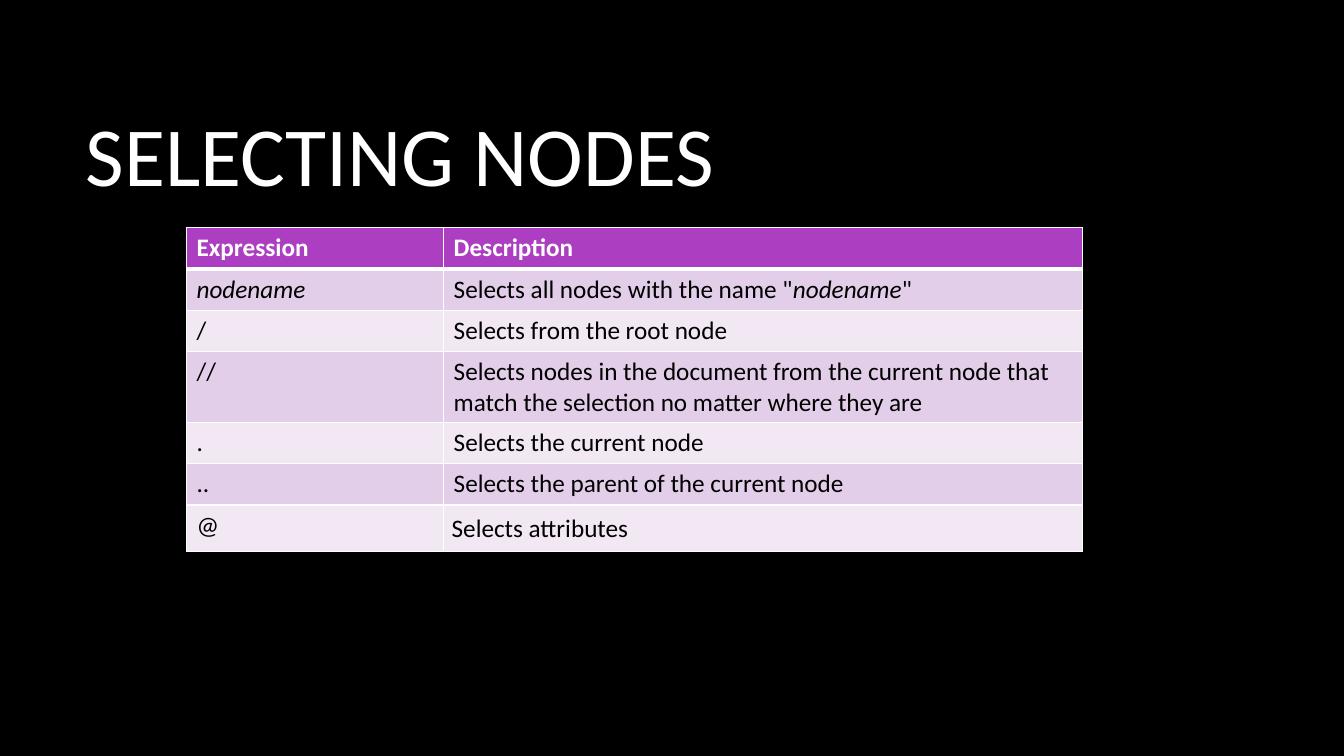
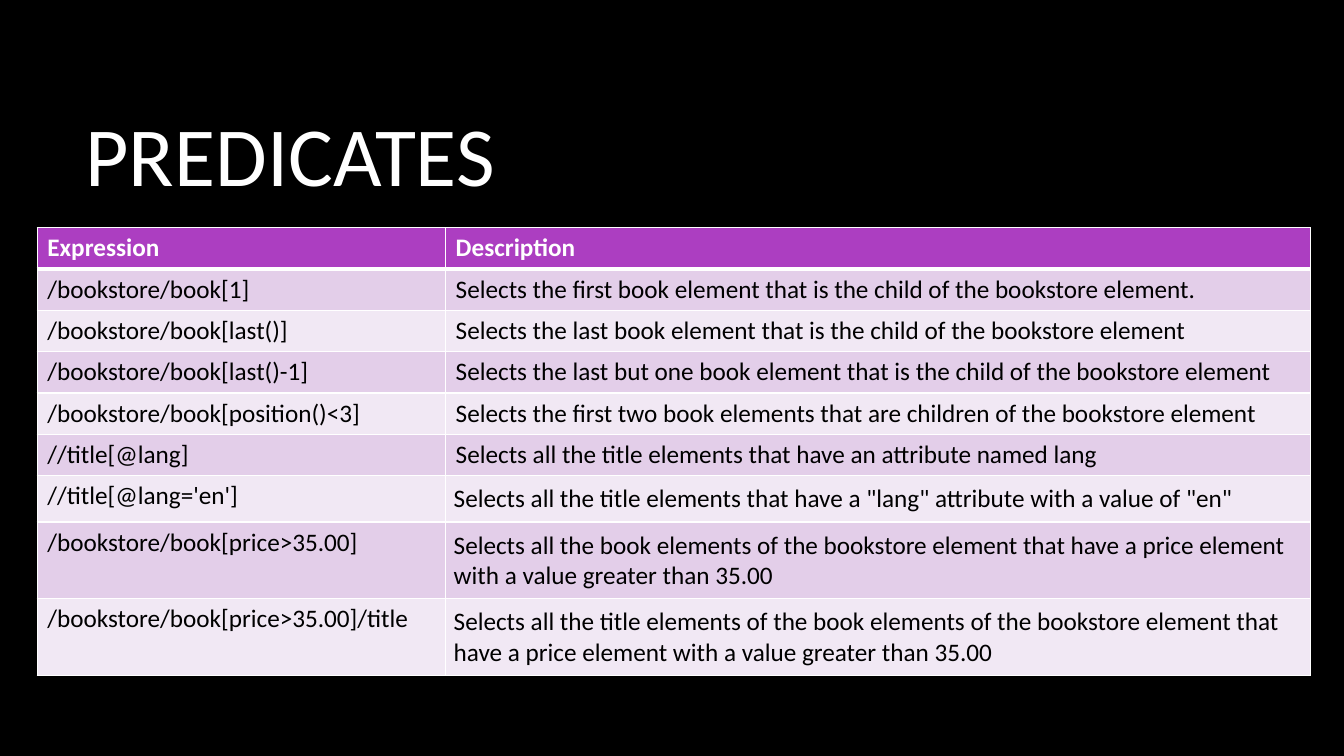
from pptx import Presentation
from pptx.dml.color import RGBColor
from pptx.enum.text import MSO_ANCHOR
from pptx.oxml import parse_xml
from pptx.oxml.ns import nsdecls
from pptx.util import Inches, Pt

FONT = "Calibri"
BLACK, WHITE = "000000", "FFFFFF"
HEADER, BAND_DARK, BAND_LIGHT = "AC3EC1", "E3CEE9", "F1E8F4"
ROW_H = 0.41


def style_run(r, size, color, bold=False, italic=False):
    f = r.font
    f.name, f.size, f.bold, f.italic = FONT, Pt(size), bold, italic
    f.color.rgb = RGBColor.from_string(color)


def set_borders(cell, top, bottom):
    tc_pr = cell._tc.get_or_add_tcPr()
    sides = (("L", 1), ("R", 1), ("T", top), ("B", bottom))
    for i, (side, width) in enumerate(sides):
        tc_pr.insert(i, parse_xml(
            f'<a:ln{side} {nsdecls("a")} w="{Pt(width)}"><a:solidFill>'
            f'<a:srgbClr val="{WHITE}"/></a:solidFill></a:ln{side}>'))


# Content: text between asterisks is italic; descriptions from row
# "padded_from" on have an even margin on all four sides
slides = [
    dict(title="SELECTING NODES", left=1.85, cols=(2.55, 6.34), padded_from=6, rows=[
        ("*nodename*", 'Selects all nodes with the name "*nodename*"'),
        ("/", "Selects from the root node"),
        ("//", "Selects nodes in the document from the current node that "
               "match the selection no matter where they are"),
        (".", "Selects the current node"),
        ("..", "Selects the parent of the current node"),
        ("@", "Selects attributes"),
    ]),
    dict(title="PREDICATES", left=0.37, cols=(4.05, 8.58), padded_from=6, rows=[
        ("/bookstore/book[1]",
         "Selects the first book element that is the child of the bookstore element."),
        ("/bookstore/book[last()]",
         "Selects the last book element that is the child of the bookstore element"),
        ("/bookstore/book[last()-1]",
         "Selects the last but one book element that is the child of the bookstore element"),
        ("/bookstore/book[position()<3]",
         "Selects the first two book elements that are children of the bookstore element"),
        ("//title[@lang]",
         "Selects all the title elements that have an attribute named lang"),
        ("//title[@lang='en']",
         'Selects all the title elements that have a "lang" attribute with a value of "en"'),
        ("/bookstore/book[price>35.00]",
         "Selects all the book elements of the bookstore element that have a price "
         "element with a value greater than 35.00"),
        ("/bookstore/book[price>35.00]/title",
         "Selects all the title elements of the book elements of the bookstore element "
         "that have a price element with a value greater than 35.00"),
    ]),
]

prs = Presentation()
prs.slide_width, prs.slide_height = Inches(13.33), Inches(7.5)

# Black background, shared by all slides
bg = prs.slide_master.background.fill
bg.solid()
bg.fore_color.rgb = RGBColor.from_string(BLACK)

for item in slides:
    s = prs.slides.add_slide(prs.slide_layouts[6])

    # Title
    tf = s.shapes.add_textbox(Inches(0.75), Inches(0.67), Inches(11.08), Inches(1.59)).text_frame
    tf.word_wrap = True
    tf.vertical_anchor = MSO_ANCHOR.MIDDLE
    tf.margin_top = Inches(0.15)
    tf.text = item["title"]
    style_run(tf.paragraphs[0].runs[0], 60, WHITE)

    # Table
    rows = [("Expression", "Description")] + item["rows"]
    table = s.shapes.add_table(
        len(rows), 2, Inches(item["left"]), Inches(2.26),
        Inches(sum(item["cols"])), Inches(ROW_H * len(rows))).table
    table.horz_banding = False
    for col, width in zip(table.columns, item["cols"]):
        col.width = Inches(width)

    for i, row in enumerate(rows):
        table.rows[i].height = Inches(ROW_H)
        is_header = i == 0
        fill = HEADER if is_header else BAND_DARK if i % 2 else BAND_LIGHT
        for j, text in enumerate(row):
            cell = table.cell(i, j)
            set_borders(cell, top=3 if i == 1 else 1, bottom=3 if is_header else 1)
            cell.fill.solid()
            cell.fill.fore_color.rgb = RGBColor.from_string(fill)
            if j == 1 and i >= item["padded_from"]:
                cell.margin_left = cell.margin_right = Inches(0.08)
                cell.margin_top = cell.margin_bottom = Inches(0.08)
            p = cell.text_frame.paragraphs[0]
            for k, part in enumerate(text.split("*")):
                if part:
                    r = p.add_run()
                    r.text = part
                    style_run(r, 18, WHITE if is_header else BLACK,
                              bold=is_header, italic=k % 2 == 1)

prs.save("out.pptx")
